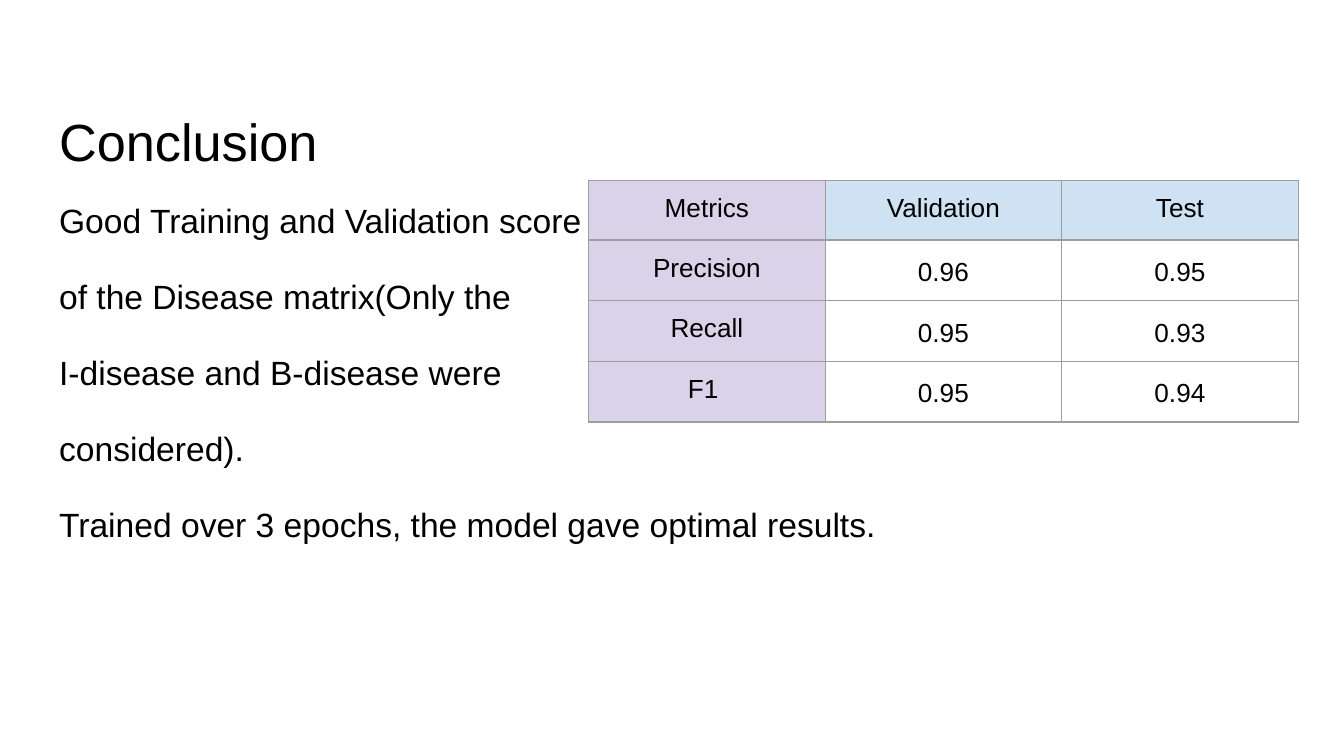
from lxml.etree import SubElement
from pptx import Presentation
from pptx.dml.color import RGBColor
from pptx.enum.text import MSO_ANCHOR, MSO_AUTO_SIZE, PP_ALIGN
from pptx.oxml.ns import qn
from pptx.util import Inches, Pt

BLACK, LILAC, BLUE, GREY = "000000", "D9D2E9", "CFE2F3", "9E9E9E"
BODY = [
    "Good Training and Validation score",
    "of the Disease matrix(Only the",
    "I-disease and B-disease were",
    "considered).",
    "Trained over 3 epochs, the model gave optimal results.",
]
SCORES = [
    ["Metrics", "Validation", "Test"],
    ["Precision", "0.96", "0.95"],
    ["Recall", "0.95", "0.93"],
    ["F1 ", "0.95", "0.94"],
]


def rgb(color):
    return RGBColor.from_string(color)


def set_font(p, size):
    p.font.size = Pt(size)
    p.font.name = "Arial"
    p.font.color.rgb = rgb(BLACK)


def set_margins(box):
    box.margin_left = box.margin_right = Inches(0.1)
    box.margin_top = box.margin_bottom = Inches(0.1)


def place(sp, x, y, w, h):
    sp.left, sp.top, sp.width, sp.height = map(Inches, (x, y, w, h))
    tf = sp.text_frame
    set_margins(tf)
    tf.word_wrap = True
    tf.auto_size = MSO_AUTO_SIZE.NONE
    tf.vertical_anchor = MSO_ANCHOR.TOP
    return tf


def add_title(sp, text, x, y, w, h):
    tf = place(sp, x, y, w, h)
    tf.text = text
    p = tf.paragraphs[0]
    p.alignment = PP_ALIGN.LEFT
    set_font(p, 28)


def add_body(sp, lines, x, y, w, h):
    tf = place(sp, x, y, w, h)
    tf.text = "\n".join(lines)
    for i, p in enumerate(tf.paragraphs):
        p.line_spacing = 1.15
        p.space_before = Pt(16 if i else 0)
        p.space_after = Pt(0)
        set_font(p, 18)
        # No bullet, no indent
        pPr = p._p.get_or_add_pPr()
        pPr.set("marL", "0")
        pPr.set("indent", "0")
        pPr.insert_element_before(pPr.makeelement(qn("a:buNone")), "a:tabLst", "a:defRPr")
    tf.paragraphs[-1].space_after = Pt(16)


def set_borders(cell):
    tcPr = cell._tc.get_or_add_tcPr()
    for i, side in enumerate(("lnL", "lnR", "lnT", "lnB")):
        ln = tcPr.makeelement(qn(f"a:{side}"), {"w": str(Pt(0.75))})
        fill = SubElement(ln, qn("a:solidFill"))
        SubElement(fill, qn("a:srgbClr"), val=GREY)
        tcPr.insert(i, ln)  # borders come before the fill


def add_scores(s, rows, x, y, w, h):
    shape = s.shapes.add_table(len(rows), len(rows[0]), *map(Inches, (x, y, w, h)))
    table = shape.table
    for r, row in enumerate(rows):
        for c, text in enumerate(row):
            cell = table.cell(r, c)
            cell.text = text
            set_margins(cell)
            p = cell.text_frame.paragraphs[0]
            p.alignment = PP_ALIGN.CENTER
            set_font(p, 14)
            p.font.bold = False
            if r and c:
                p.line_spacing = 1.15
                cell.fill.background()
            else:
                cell.fill.solid()
                cell.fill.fore_color.rgb = rgb(BLUE if c else LILAC)
            set_borders(cell)


def main():
    prs = Presentation()
    prs.slide_width = Inches(10)
    prs.slide_height = prs.slide_width * 9 // 16
    s = prs.slides.add_slide(prs.slide_layouts[1])
    add_title(s.shapes.title, "Conclusion", 0.34, 0.71, 9.32, 0.63)
    add_body(s.placeholders[1], BODY, 0.34, 1.34, 9.32, 3.74)
    add_scores(s, SCORES, 4.38, 1.34, 5.28, 1.78)
    prs.save("out.pptx")


if __name__ == "__main__":
    main()
